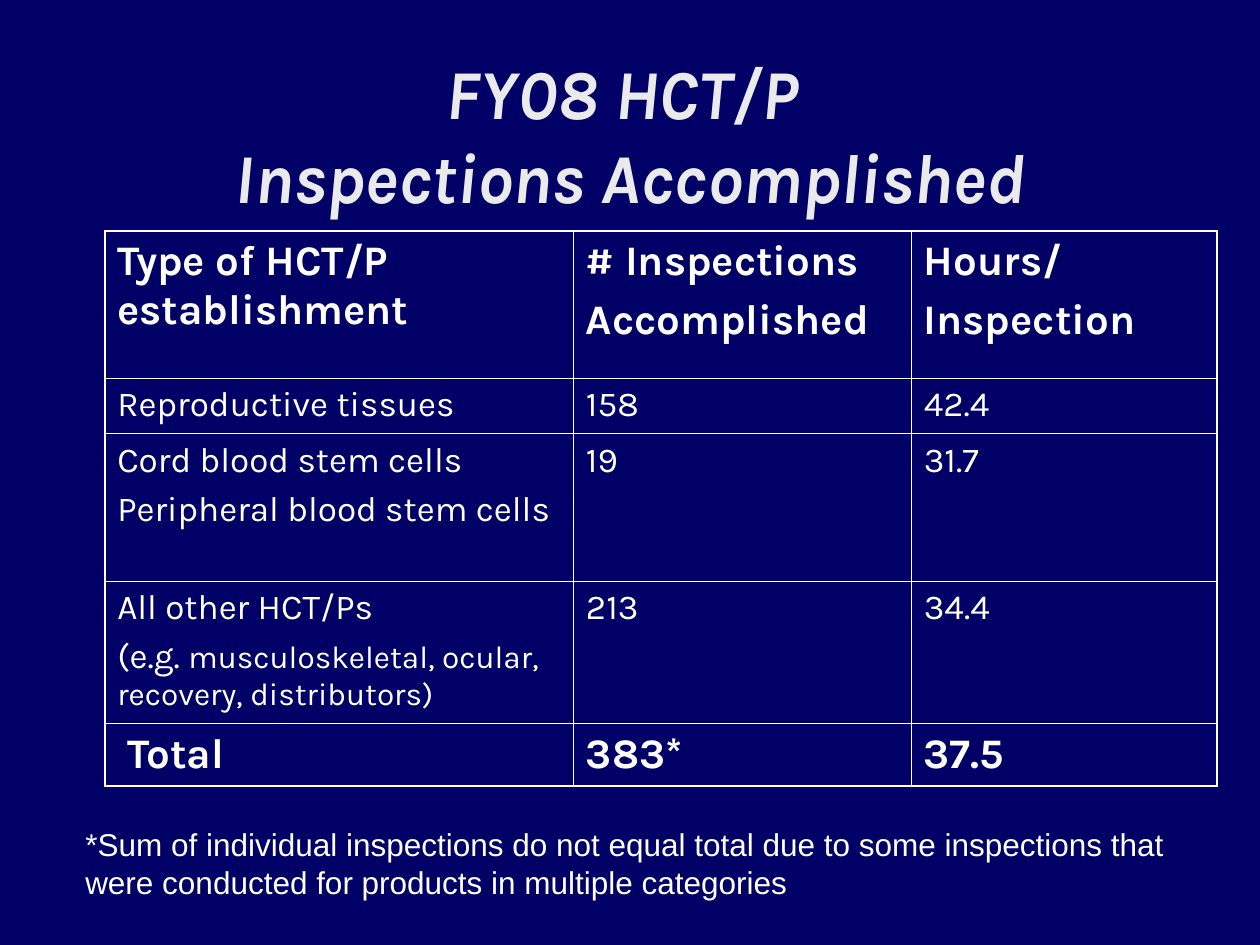
from lxml import etree
from pptx import Presentation
from pptx import util as u
from pptx.dml.color import RGBColor
from pptx.enum import text
from pptx.oxml import ns

HUES = {"back": "000066", "title": "EAEAEA", "ink": "FFFFFF"}
WIDTHS = [9.45, 6.81, 6.17]
HEIGHTS = [2.97, 1.12, 2.97, 2.87, 1.27]
ROWS = [
    ["Type of HCT/P establishment", "# Inspections\nAccomplished", "Hours/\nInspection"],
    ["Reproductive tissues", "158", "42.4"],
    ["Cord blood stem cells\nPeripheral blood stem cells", "19", "31.7"],
    ["All other HCT/Ps", "213", "34.4"],
    [" Total", "383*", "37.5"],
]
NOTE = ("*Sum of individual inspections do not equal total due to some "
        "inspections that were conducted for products in multiple categories")


class Deck:
    """Holds the style and the current slide, and draws each kind of element."""

    def __init__(self, face):
        self.face = face
        self.prs = Presentation()
        self.prs.slide_width, self.prs.slide_height = u.Cm(25.4), u.Cm(19.05)
        self.slide = self.prs.slides.add_slide(self.prs.slide_layouts[6])
        fill = self.slide.background.fill
        fill.solid()
        fill.fore_color.rgb = RGBColor.from_string(HUES["back"])

    def style(self, run, size, hue="ink", face=None, bold=False, italic=False):
        font = run.font
        font.name, font.size = face or self.face, u.Pt(size)
        font.bold, font.italic = bold, italic
        font.color.rgb = RGBColor.from_string(HUES[hue])

    def label(self, words, box, size, align=text.PP_ALIGN.LEFT,
              anchor=text.MSO_ANCHOR.TOP, **look):
        frame = self.slide.shapes.add_textbox(*map(u.Cm, box)).text_frame
        frame.word_wrap, frame.vertical_anchor = True, anchor
        para = frame.paragraphs[0]
        para.text, para.alignment = words, align
        for run in para.runs:
            self.style(run, size, **look)

    def border(self, cell, points):
        props = cell._tc.get_or_add_tcPr()
        for spot, (side, width) in enumerate(points.items()):
            line = etree.Element(ns.qn("a:ln" + side), w=str(u.Pt(width)))
            fill = etree.SubElement(line, ns.qn("a:solidFill"))
            etree.SubElement(fill, ns.qn("a:srgbClr"), val=HUES["ink"])
            props.insert(spot, line)

    def table(self, rows, left, top, widths, heights):
        size = len(rows), len(widths)
        box = left, top, sum(widths), sum(heights)
        grid = self.slide.shapes.add_table(*size, *map(u.Cm, box)).table
        grid.first_row = grid.horz_banding = False
        for col, width in zip(grid.columns, widths):
            col.width = u.Cm(width)
        for row, height in zip(grid.rows, heights):
            row.height = u.Cm(height)
        last, end = size[0] - 1, size[1] - 1
        for r, row in enumerate(rows):
            strong = r in (0, last)
            for c, words in enumerate(row):
                cell = grid.cell(r, c)
                cell.fill.background()
                edges = {"L": c == 0, "R": c == end, "T": r == 0, "B": r == last}
                self.border(cell, {s: 1.08 if e else 0.45 for s, e in edges.items()})
                cell.text_frame.text = words
                for p, para in enumerate(cell.text_frame.paragraphs):
                    if p:
                        para.space_before = u.Pt(6 if strong else 5)
                    for run in para.runs:
                        self.style(run, 24 if strong else 20, bold=strong)
        return grid

    def extend(self, cell, parts, gap):
        para = cell.text_frame.add_paragraph()
        para.space_before = u.Pt(gap)
        for words, size in parts:
            run = para.add_run()
            run.text = words
            self.style(run, size)


def main():
    deck = Deck("Karla")
    deck.label("FY08 HCT/P \vInspections Accomplished", (1.27, 1.27, 22.86, 2.84), 40,
               text.PP_ALIGN.CENTER, text.MSO_ANCHOR.MIDDLE,
               hue="title", bold=True, italic=True)
    grid = deck.table(ROWS, 2.11, 4.65, WIDTHS, HEIGHTS)
    deck.extend(grid.cell(3, 0), [
        ("(e.g. ", 20), ("musculoskeletal, ocular, recovery, distributors)", 18)], 4.5)
    deck.label(NOTE, (1.47, 16.51, 22.43, 1.78), 18, face="Arial")
    deck.prs.save("out.pptx")


if __name__ == "__main__":
    main()
